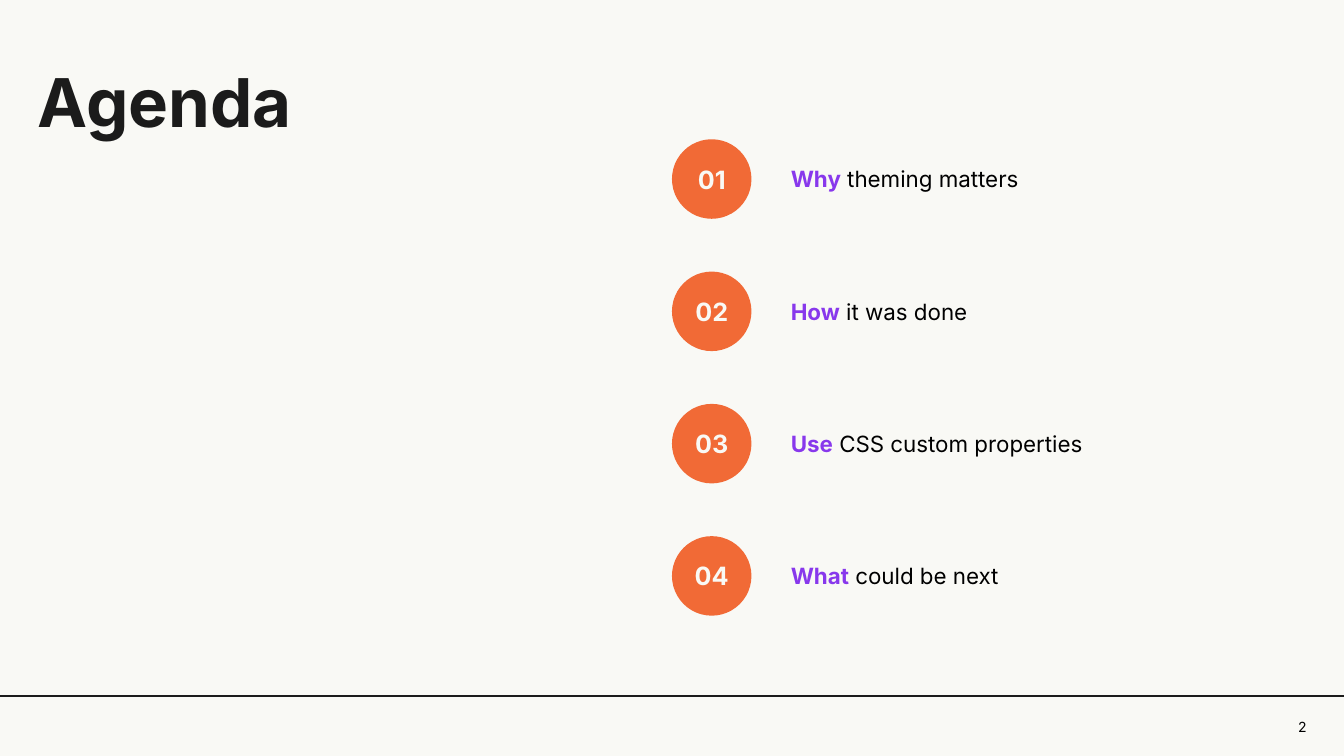
from lxml.etree import SubElement
from pptx import Presentation
from pptx.dml.color import RGBColor
from pptx.enum.shapes import MSO_CONNECTOR, MSO_SHAPE
from pptx.enum.text import MSO_ANCHOR, MSO_AUTO_SIZE, PP_ALIGN
from pptx.oxml.ns import qn
from pptx.util import Pt

PAPER = RGBColor(0xF9, 0xF9, 0xF5)
INK = RGBColor(0x1B, 0x1B, 0x1B)
BLACK = RGBColor(0x00, 0x00, 0x00)
ORANGE = RGBColor(0xF1, 0x6A, 0x36)
PURPLE = RGBColor(0x88, 0x38, 0xEC)

SLIDE_WIDTH = 960.48
CIRCLE_LEFT, FIRST_TOP, CIRCLE_SIZE, ROW_PITCH = 480.24, 99.5, 56.8, 94.5
LABEL_LEFT, LABEL_WIDTH = 565.2, 340
RULE_TOP = 497.3

AGENDA = [
    ("Why", " theming matters"),
    ("How", " it was done"),
    ("Use", " CSS custom properties"),
    ("What", " could be next"),
]


def prepare_frame(shape, anchor, alignment, wrap=True):
    frame = shape.text_frame
    frame.margin_left = frame.margin_top = frame.margin_right = frame.margin_bottom = 0
    frame.auto_size = MSO_AUTO_SIZE.NONE
    frame.word_wrap = wrap
    frame.vertical_anchor = anchor
    paragraph = frame.paragraphs[0]
    paragraph.alignment = alignment
    return paragraph


def add_run(paragraph, text, size, color, bold=False):
    run = paragraph.add_run()
    run.text = text
    run.font.name = "Inter"
    run.font.size = Pt(size)
    run.font.bold = bold
    run.font.color.rgb = color


presentation = Presentation()
presentation.slide_width = Pt(SLIDE_WIDTH)
presentation.slide_height = Pt(540)
slide = presentation.slides.add_slide(presentation.slide_layouts[5])
slide.background.fill.solid()
slide.background.fill.fore_color.rgb = PAPER

title = slide.shapes.title
title.left, title.top, title.width, title.height = Pt(26.9), Pt(42.8), Pt(312), Pt(57.6)
paragraph = prepare_frame(title, MSO_ANCHOR.TOP, PP_ALIGN.LEFT)
add_run(paragraph, "Agenda", 48, INK, bold=True)

for index, (keyword, topic) in enumerate(AGENDA):
    top = Pt(FIRST_TOP + index * ROW_PITCH)

    circle = slide.shapes.add_shape(
        MSO_SHAPE.OVAL, Pt(CIRCLE_LEFT), top, Pt(CIRCLE_SIZE), Pt(CIRCLE_SIZE))
    circle.shadow.inherit = False
    circle.fill.solid()
    circle.fill.fore_color.rgb = ORANGE
    circle.line.fill.background()
    paragraph = prepare_frame(circle, MSO_ANCHOR.MIDDLE, PP_ALIGN.CENTER)
    add_run(paragraph, f"{index + 1:02}", 18, PAPER, bold=True)

    label = slide.shapes.add_textbox(Pt(LABEL_LEFT), top, Pt(LABEL_WIDTH), Pt(CIRCLE_SIZE))
    paragraph = prepare_frame(label, MSO_ANCHOR.MIDDLE, PP_ALIGN.LEFT)
    add_run(paragraph, keyword, 16, PURPLE, bold=True)
    add_run(paragraph, topic, 16, BLACK)

footer_rule = slide.shapes.add_connector(
    MSO_CONNECTOR.STRAIGHT, 0, Pt(RULE_TOP), Pt(SLIDE_WIDTH), Pt(RULE_TOP))
footer_rule.line.color.rgb = INK
footer_rule.line.width = Pt(1.25)
SubElement(footer_rule._element.spPr, qn("a:effectLst"))

page_number = slide.shapes.add_textbox(Pt(923.8), Pt(513.4), Pt(10), Pt(12.2))
paragraph = prepare_frame(page_number, MSO_ANCHOR.TOP, PP_ALIGN.RIGHT, wrap=False)
add_run(paragraph, "2", 10, BLACK)

presentation.save("out.pptx")
